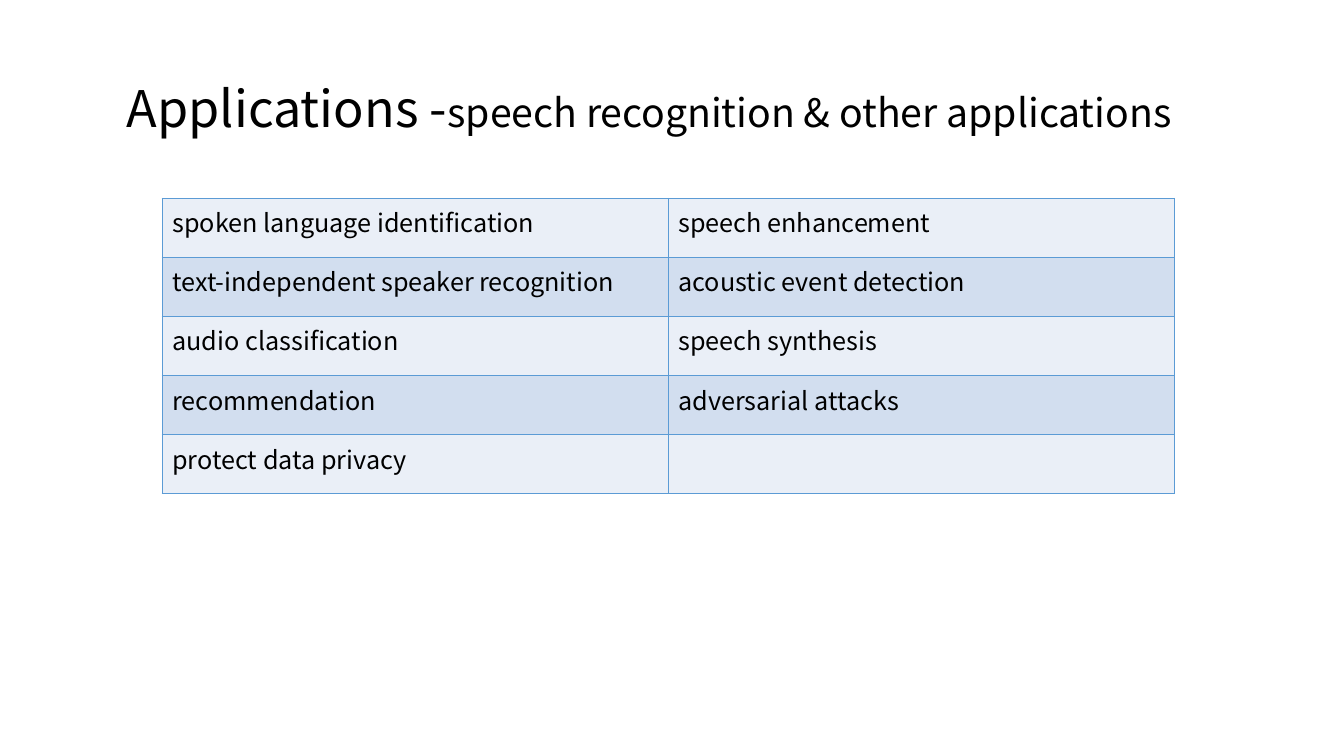
from lxml.etree import SubElement
from pptx import Presentation
from pptx.dml.color import RGBColor
from pptx.enum.text import MSO_AUTO_SIZE
from pptx.oxml.ns import qn
from pptx.util import Inches, Pt

FONT = "Noto Sans CJK SC"
BLACK = "000000"
BORDER = "5B9BD5"
BANDS = ["EAEFF7", "D2DEEF"]
APPLICATIONS = [
    ("spoken language identification", "speech enhancement"),
    ("text-independent speaker recognition", "acoustic event detection"),
    ("audio classification", "speech synthesis"),
    ("recommendation", "adversarial attacks"),
    ("protect data privacy", ""),
]


def rgb(color):
    return RGBColor.from_string(color)


def add_run(p, text, size=18, color=BLACK, font=FONT):
    r = p.add_run()
    r.text = text
    r.font.size = Pt(size)
    r.font.name = font
    r.font.color.rgb = rgb(color)


def set_borders(cell, color, width=1):
    """Draw all four sides; call before the fill so the XML order is valid."""
    tcPr = cell._tc.get_or_add_tcPr()
    for side in ("a:lnL", "a:lnR", "a:lnT", "a:lnB"):
        ln = SubElement(tcPr, qn(side), w=str(Pt(width)))
        fill = SubElement(ln, qn("a:solidFill"))
        SubElement(fill, qn("a:srgbClr"), val=color)


def add_title(s, left, top, width, height):
    box = s.shapes.add_textbox(Inches(left), Inches(top), Inches(width), Inches(height))
    tf = box.text_frame
    tf.word_wrap = True
    tf.auto_size = MSO_AUTO_SIZE.SHAPE_TO_FIT_TEXT
    p = tf.paragraphs[0]
    p.line_spacing = 0.9
    add_run(p, "Applications -", size=36)
    add_run(p, "speech recognition & other applications", size=28)


def add_applications_table(s, left, top, width, height):
    rows, cols = len(APPLICATIONS), len(APPLICATIONS[0])
    frame = s.shapes.add_table(
        rows, cols, Inches(left), Inches(top), Inches(width), Inches(height))
    table = frame.table
    table.first_row = False
    table.horz_banding = False
    for i, row in enumerate(APPLICATIONS):
        for j, text in enumerate(row):
            cell = table.cell(i, j)
            set_borders(cell, BORDER)
            cell.fill.solid()
            cell.fill.fore_color.rgb = rgb(BANDS[i % 2])
            if text:
                add_run(cell.text_frame.paragraphs[0], text)


def main():
    prs = Presentation()
    prs.slide_width = Inches(13.33)
    prs.slide_height = Inches(7.5)
    s = prs.slides.add_slide(prs.slide_layouts[6])
    add_title(s, 1.16, 0.78, 10.73, 0.71)
    add_applications_table(s, 1.61, 1.97, 10.04, 2.93)
    prs.save("out.pptx")


if __name__ == "__main__":
    main()
